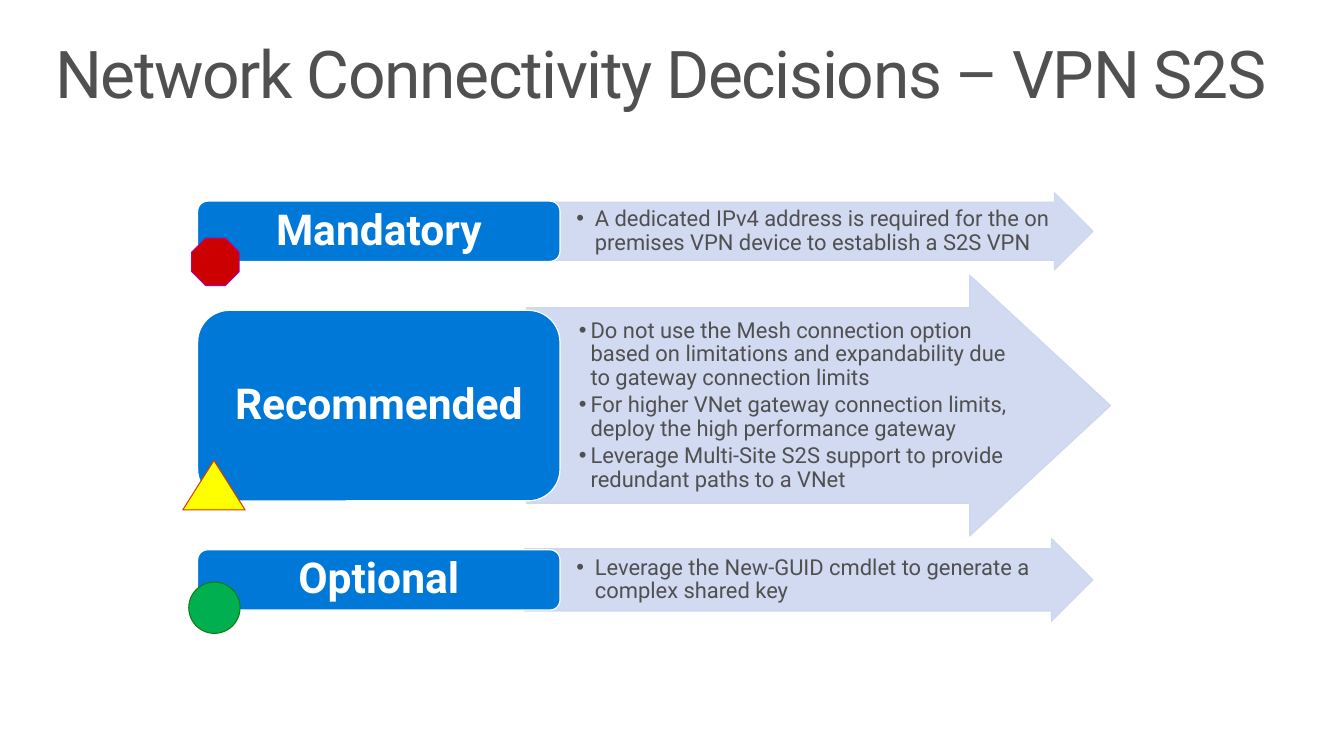
from dataclasses import dataclass

from lxml import etree
from pptx import Presentation
from pptx.dml.color import RGBColor
from pptx.enum.shapes import MSO_SHAPE
from pptx.enum.text import MSO_ANCHOR, PP_ALIGN
from pptx.oxml.ns import qn
from pptx.util import Pt

LEFT, CENTER = PP_ALIGN.LEFT, PP_ALIGN.CENTER
TOP, MIDDLE = MSO_ANCHOR.TOP, MSO_ANCHOR.MIDDLE
ARROW, ROUNDED = MSO_SHAPE.RIGHT_ARROW, MSO_SHAPE.ROUNDED_RECTANGLE
OCTAGON, TRIANGLE, ELLIPSE = MSO_SHAPE.OCTAGON, MSO_SHAPE.ISOSCELES_TRIANGLE, MSO_SHAPE.OVAL


@dataclass(frozen=True)
class Theme:
    font: str = "Roboto"
    text: str = "505050"
    white: str = "FFFFFF"
    label: str = "0078D7"
    arrow: str = "CCD6F0"
    title_size: float = 48
    label_size: float = 31
    body_size: float = 16


@dataclass(frozen=True)
class Decision:
    label: str
    label_height: float
    arrow_box: tuple
    head_ratio: float
    indent: tuple
    points: tuple


THEME = Theme()
FIRST_CENTER, ROW_PITCH = 168.5, 127
LABEL_LEFT, LABEL_WIDTH = 144, 264
SHAFT_RATIO = 0.75

DECISIONS = (
    Decision("Mandatory", 43.9, (382.3, 414, 56.2), 0.5, (50.4, 13.5), (
        "A dedicated IPv4 address is required for the on premises VPN device to establish a S2S VPN",
    )),
    Decision("Recommended", 138.8, (383.6, 425.5, 190), 0.54, (46, 8.6), (
        "Do not use the Mesh connection option based on limitations and expandability "
        "due to gateway connection limits",
        "For higher VNet gateway connection limits, deploy the high performance gateway",
        "Leverage Multi-Site S2S support to provide redundant paths to a VNet",
    )),
    Decision("Optional", 43.9, (382.3, 414, 60.5), 0.5, (50.4, 13.5), (
        "Leverage the New-GUID cmdlet to generate a complex shared key",
    )),
)

MARKERS = (
    (OCTAGON, (139.7, 173.5, 34.6, 34.6), "CC0000", "B4009E"),
    (TRIANGLE, (133.2, 335.5, 45.4, 36), "FFFF00", "D83B01"),
    (ELLIPSE, (137.5, 424.1, 37.4, 37.4), "00B050", "107C10"),
)


def add_bullet(paragraph, indent):
    margin, hanging = indent
    properties = paragraph._p.get_or_add_pPr()
    properties.set("marL", str(Pt(margin)))
    properties.set("indent", str(-Pt(hanging)))
    etree.SubElement(properties, qn("a:buFont"), typeface="Arial")
    etree.SubElement(properties, qn("a:buChar"), char="•")


def write_text(shape, lines, *, size, color, bold=False, align=LEFT, anchor=MIDDLE,
               margins=(0, 0, 0, 0), indent=None, gap=0, tracking=None):
    frame = shape.text_frame
    frame.word_wrap = True
    frame.vertical_anchor = anchor
    (frame.margin_left, frame.margin_top,
     frame.margin_right, frame.margin_bottom) = map(Pt, margins)
    for index, line in enumerate(lines):
        paragraph = frame.add_paragraph() if index else frame.paragraphs[0]
        if indent:
            add_bullet(paragraph, indent)
        paragraph.alignment = align
        paragraph.line_spacing = 0.9
        if index:
            paragraph.space_before = Pt(gap)
        run = paragraph.add_run()
        run.text = line
        run.font.name = THEME.font
        run.font.size = Pt(size)
        run.font.bold = bold
        run.font.color.rgb = RGBColor.from_string(color)
        if tracking is not None:
            run.font._element.set("spc", str(tracking * 100))


def add_block(slide, kind, box, fill, line, width, opacity=None):
    shape = slide.shapes.add_shape(kind, *map(Pt, box))
    shape.shadow.inherit = False
    shape.fill.solid()
    shape.fill.fore_color.rgb = RGBColor.from_string(fill)
    shape.line.color.rgb = RGBColor.from_string(line)
    shape.line.width = Pt(width)
    if opacity is not None:
        for color in shape._element.spPr.iter(qn("a:srgbClr")):
            etree.SubElement(color, qn("a:alpha"), val=str(opacity * 1000))
    return shape


def add_title(slide, title):
    box = slide.shapes.add_textbox(Pt(28.8), Pt(23), Pt(921.6), Pt(72))
    write_text(box, [title], size=THEME.title_size, color=THEME.text, anchor=TOP,
               margins=(11.5, 7.2, 11.5, 7.2), tracking=-1)


def add_decision(slide, decision, center):
    left, width, height = decision.arrow_box
    arrow = add_block(slide, ARROW, (left, center - height / 2, width, height),
                      THEME.arrow, THEME.arrow, 0.85, opacity=90)
    arrow.adjustments[0] = SHAFT_RATIO
    arrow.adjustments[1] = decision.head_ratio
    write_text(arrow, decision.points, size=THEME.body_size, color=THEME.text,
               margins=(0.7, 0, -4, 0), indent=decision.indent, gap=2.4)

    label_top = center - decision.label_height / 2
    label = add_block(slide, ROUNDED,
                      (LABEL_LEFT, label_top, LABEL_WIDTH, decision.label_height),
                      THEME.label, THEME.white, 0.85)
    write_text(label, [decision.label], size=THEME.label_size, color=THEME.white,
               bold=True, align=CENTER)


def main():
    presentation = Presentation()
    presentation.slide_width = Pt(979.2)
    presentation.slide_height = Pt(550.8)
    slide = presentation.slides.add_slide(presentation.slide_layouts[6])
    add_title(slide, "Network Connectivity Decisions – VPN S2S")
    for row, decision in enumerate(DECISIONS):
        add_decision(slide, decision, FIRST_CENTER + row * ROW_PITCH)
    for kind, box, fill, line in MARKERS:
        add_block(slide, kind, box, fill, line, 0.75)
    presentation.save("out.pptx")


if __name__ == "__main__":
    main()
